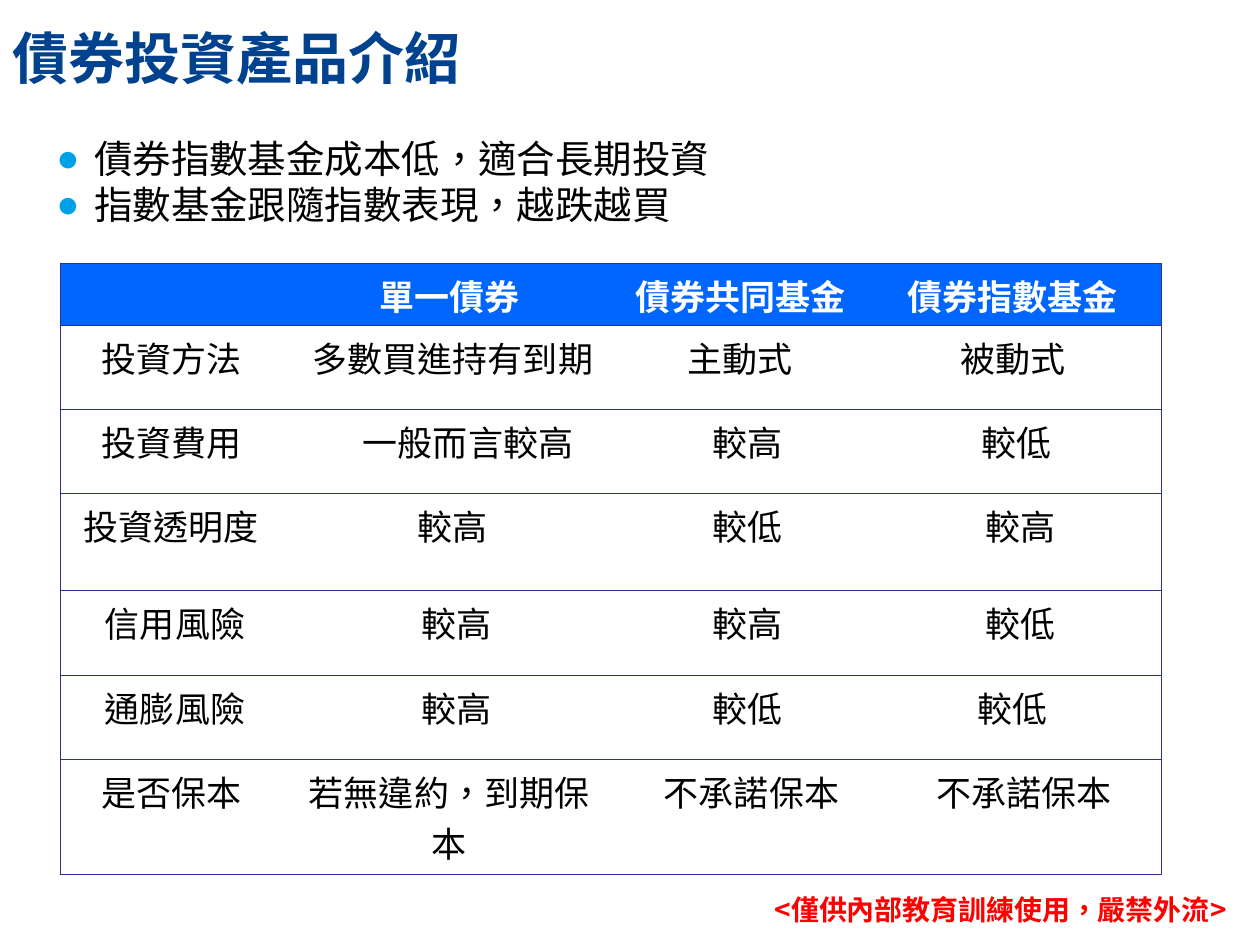
from dataclasses import dataclass

from lxml.etree import SubElement
from pptx import Presentation
from pptx.dml.color import RGBColor
from pptx.enum.lang import MSO_LANGUAGE_ID as Language
from pptx.enum.text import MSO_ANCHOR as Anchor, PP_ALIGN as Align
from pptx.oxml.ns import qn
from pptx.util import Inches, Pt


@dataclass(frozen=True)
class Theme:
    font: str = "Noto Sans CJK SC"
    title: str = "00428E"
    text: str = "000000"
    bullet: str = "00A0E9"
    header: str = "0066FF"
    header_text: str = "FFFFFF"
    border: str = "2F2F98"
    warning: str = "FF0000"
    title_size: int = 32
    bullet_size: int = 22
    table_size: int = 20
    footer_size: int = 16
    border_width: float = 0.75


THEME = Theme()

BULLETS = ["債券指數基金成本低，適合長期投資", "指數基金跟隨指數表現，越跌越買"]

COLUMN_WIDTHS = [1.76, 2.65, 1.97, 2.36]
ROW_HEIGHTS = [0.49, 0.67, 0.67, 0.77, 0.67, 0.67, 0.91]
ROWS = [
    ["", "單一債券", "債券共同基金", "債券指數基金"],
    ["投資方法", "多數買進持有到期", "主動式", "被動式"],
    ["投資費用", "一般而言較高", "較高", "較低"],
    ["投資透明度", "較高", "較低", "較高"],
    ["信用風險", "較高", "較高", "較低"],
    ["通膨風險", "較高", "較低", "較低"],
    ["是否保本", "若無違約，到期保本", "不承諾保本", "不承諾保本"],
]
# Extra left margin of each cell, in steps of INDENT_STEP inches
INDENT_STEP = 0.06
INDENTS = [
    [0, 0, 0, 0],
    [0, 1, 0, 0],
    [0, 5, 2, 1],
    [0, 1, 2, 2],
    [1, 2, 2, 2],
    [1, 2, 2, 0],
    [0, 0, 3, 3],
]


def set_text(para, text, size, color, bold=False):
    span = para.add_run()
    span.text = text
    font_format = {"name": THEME.font, "size": Pt(size), "bold": bold,
                   "language_id": Language.TRADITIONAL_CHINESE}
    for name, value in font_format.items():
        setattr(span.font, name, value)
    span.font.color.rgb = RGBColor.from_string(color)
    SubElement(span.font._element, qn("a:ea"), typeface=THEME.font)


def add_box(page, left, top, width, height, **frame_format):
    box = page.shapes.add_textbox(*map(Inches, (left, top, width, height)))
    for name, value in {"word_wrap": True, **frame_format}.items():
        setattr(box.text_frame, name, value)
    return box.text_frame


def add_bullet(para, hanging):
    properties = para._p.get_or_add_pPr()
    properties.set("marL", str(Inches(hanging)))
    properties.set("indent", str(-Inches(hanging)))
    color = SubElement(properties, qn("a:buClr"))
    SubElement(color, qn("a:srgbClr"), val=THEME.bullet)
    SubElement(properties, qn("a:buFont"), typeface="Arial")
    SubElement(properties, qn("a:buChar"), char="●")


def add_bullets(page):
    frame = add_box(page, 0.35, 1.02, 8.54, 0.84)
    for index, text in enumerate(BULLETS):
        para = frame.add_paragraph() if index else frame.paragraphs[0]
        add_bullet(para, 0.3)
        set_text(para, text, THEME.bullet_size, THEME.text)


def set_borders(cell, visible_sides):
    """Draw the named sides (L, R, T, B) and hide the others."""
    properties = cell._tc.get_or_add_tcPr()
    for side in "LRTB":
        line = SubElement(properties, qn(f"a:ln{side}"), w=str(Pt(THEME.border_width)))
        if side in visible_sides:
            fill = SubElement(line, qn("a:solidFill"))
            SubElement(fill, qn("a:srgbClr"), val=THEME.border)
        else:
            SubElement(line, qn("a:noFill"))


def fill_cell(cell, text, indent, is_header):
    cell.margin_left = Inches(0.1 + indent * INDENT_STEP)
    if is_header:
        cell.fill.solid()
        cell.fill.fore_color.rgb = RGBColor.from_string(THEME.header)
    else:
        cell.fill.background()
    if text:
        para = cell.text_frame.paragraphs[0]
        para.alignment = Align.CENTER
        color = THEME.header_text if is_header else THEME.text
        set_text(para, text, THEME.table_size, color, bold=is_header)


def add_comparison_table(page):
    size = sum(COLUMN_WIDTHS), sum(ROW_HEIGHTS)
    frame = page.shapes.add_table(len(ROWS), len(COLUMN_WIDTHS),
                                  *map(Inches, (0.48, 2.09, *size)))
    table = frame.table
    table.first_row = table.horz_banding = False
    for column, width in zip(table.columns, COLUMN_WIDTHS):
        column.width = Inches(width)
    for row, height in zip(table.rows, ROW_HEIGHTS):
        row.height = Inches(height)
    outer_sides = {0: "L", len(COLUMN_WIDTHS) - 1: "R"}
    for r, (texts, indents) in enumerate(zip(ROWS, INDENTS)):
        for c, (text, indent) in enumerate(zip(texts, indents)):
            cell = table.cell(r, c)
            set_borders(cell, "TB" + outer_sides.get(c, ""))
            fill_cell(cell, text, indent, is_header=r == 0)


def main():
    deck = Presentation()
    deck.slide_width, deck.slide_height = Inches(10), Inches(7.5)
    page = deck.slides.add_slide(deck.slide_layouts[6])

    footer = add_box(page, 6.05, 7.03, 3.9, 0.37,
                     word_wrap=False, vertical_anchor=Anchor.MIDDLE)
    set_text(footer.paragraphs[0], "<僅供內部教育訓練使用，嚴禁外流>",
             THEME.footer_size, THEME.warning, bold=True)
    title = add_box(page, 0, 0, 10, 0.91, vertical_anchor=Anchor.MIDDLE)
    set_text(title.paragraphs[0], "債券投資產品介紹",
             THEME.title_size, THEME.title, bold=True)
    add_comparison_table(page)
    add_bullets(page)

    deck.save("out.pptx")


if __name__ == "__main__":
    main()
